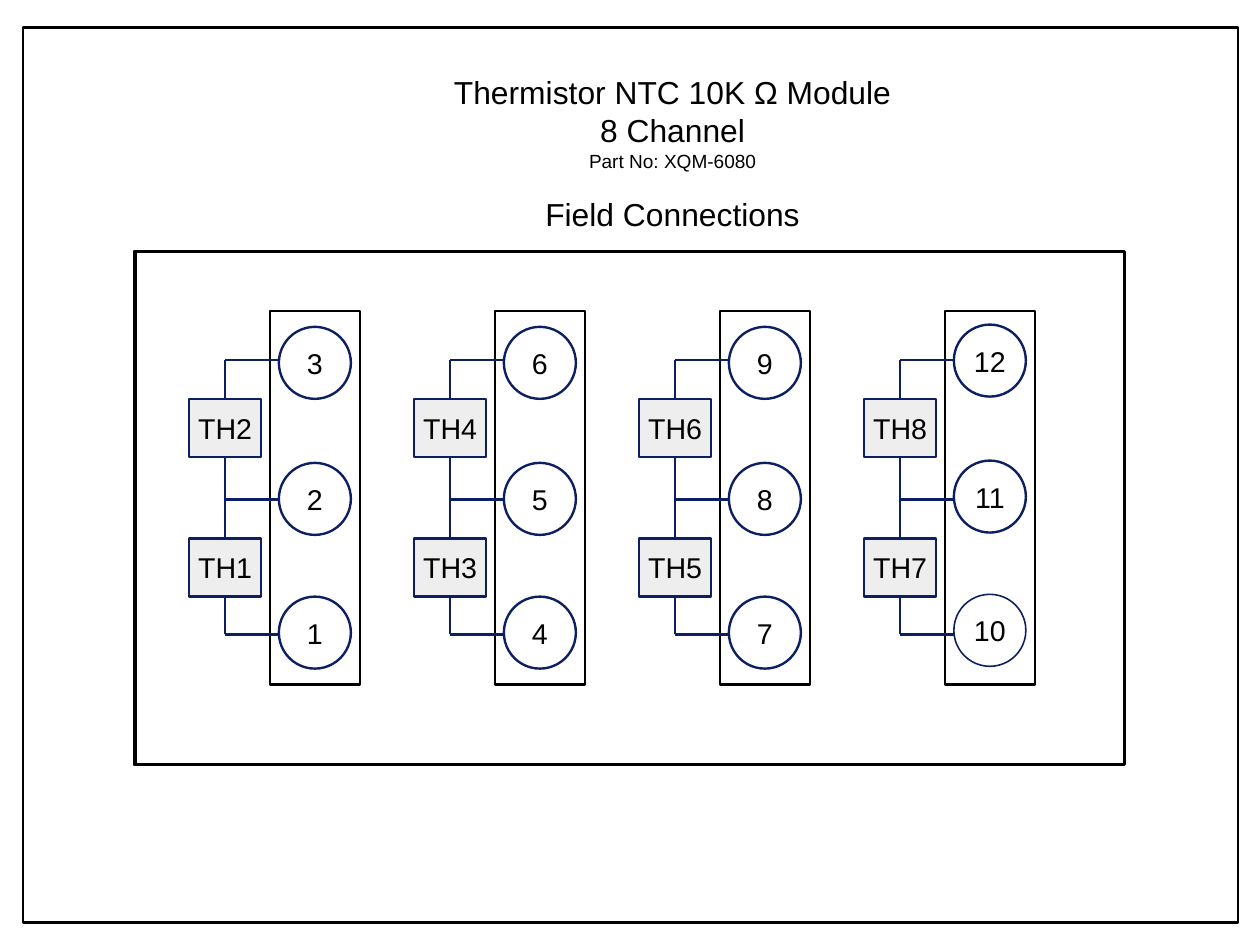
from pptx import Presentation, util as u
from pptx.dml.color import RGBColor
from pptx.enum import shapes as sh, text as tx
from pptx.oxml import ns
from lxml import etree

BLACK = RGBColor(0x00, 0x00, 0x00)
NAVY = RGBColor(0x0D, 0x1F, 0x63)
GREY = RGBColor(0xEE, 0xEE, 0xEE)
FONT = "Arial"

WIDE, HIGH = u.Cm(28), u.Cm(21)
TITLE = [  # text, size, space before
    ("Thermistor NTC 10K Ω Module\n8 Channel", 20, 0),
    ("Part No: XQM-6080", 12, 0),
    ("Field Connections", 20, 14),
]
BANKS = [  # pins and thermistors from top to bottom
    (("3", "2", "1"), ("TH2", "TH1")),
    (("6", "5", "4"), ("TH4", "TH3")),
    (("9", "8", "7"), ("TH6", "TH5")),
    (("12", "11", "10"), ("TH8", "TH7")),
]
PITCH = u.Cm(5).inches  # from one bank to the next
RAIL = 2.36             # left edge of the first terminal strip
PIN = 0.63              # pin diameter and thermistor width
PIN_TOPS = (2.86, 4.05, 5.22)
WIRES = (3.15, 4.37, 5.55)
BOX_TOPS = (3.49, 4.71)
BOX_HIGH = 0.51
RECT, OVAL = sh.MSO_SHAPE.RECTANGLE, sh.MSO_SHAPE.OVAL

deck = Presentation()
deck.slide_width, deck.slide_height = WIDE, HIGH
slide = deck.slides.add_slide(deck.slide_layouts[6])


def write(par, words, size):
    par.text = words
    par.alignment = tx.PP_ALIGN.CENTER
    par.font.name, par.font.size = FONT, u.Pt(size)
    par.font.color.rgb = BLACK


def add_part(kind, x, y, w, h, color, width=1.5, label=None, fill=None):
    part = slide.shapes.add_shape(kind, *map(u.Inches, (x, y, w, h)))
    part.shadow.inherit = False
    part.line.color.rgb, part.line.width = color, u.Pt(width)
    if fill is None:
        part.fill.background()
    else:
        part.fill.solid()
        part.fill.fore_color.rgb = fill
    if label:
        frame = part.text_frame
        frame.word_wrap = False
        frame.vertical_anchor = tx.MSO_ANCHOR.MIDDLE
        frame.margin_left = frame.margin_right = u.Inches(0.11)
        frame.margin_top = frame.margin_bottom = u.Inches(0.06)
        write(frame.paragraphs[0], label, 18)
    return part


def add_wire(x1, y1, x2, y2):
    wire = slide.shapes.add_connector(
        sh.MSO_CONNECTOR.STRAIGHT, *map(u.Inches, (x1, y1, x2, y2)))
    wire.line.color.rgb, wire.line.width = NAVY, u.Pt(1.5)
    etree.SubElement(wire._element.spPr, ns.qn("a:effectLst"))
    return wire


def add_bank(col, pins, boxes):
    """Draw one terminal strip with its pins, thermistors and wires."""
    rail = RAIL + col * PITCH
    left = rail + 0.08
    bus = rail - 0.39
    lift = 0.02 if col == len(BANKS) - 1 else 0
    add_part(RECT, rail, 2.72, 0.79, 3.27, BLACK)
    for pin, top, y in zip(pins, PIN_TOPS, WIRES):
        add_part(OVAL, left, top - lift, PIN, PIN, NAVY,
                 1 if pin == "10" else 1.5, pin)
        add_wire(left, y, bus, y)
    for name, top, above, below in zip(boxes, BOX_TOPS, WIRES, WIRES[1:]):
        box = add_part(RECT, bus - PIN / 2, top, PIN, BOX_HIGH, NAVY,
                       label=name, fill=GREY)
        add_wire(bus, above, bus, top).end_connect(box, 0)
        add_wire(bus, below, bus, top + BOX_HIGH).end_connect(box, 2)


add_part(RECT, 1.18, 2.2, 8.66, 4.49, BLACK, 2.3)
add_part(RECT, 0.2, 0.24, 10.63, 7.83, BLACK)

head = slide.shapes.add_textbox(
    *map(u.Inches, (3.66, 0.59, 4.45, 1.71))).text_frame
head.word_wrap = False
for i, (words, size, gap) in enumerate(TITLE):
    par = head.add_paragraph() if i else head.paragraphs[0]
    write(par, words, size)
    if gap:
        par.space_before = u.Pt(gap)

for col, (pins, boxes) in enumerate(BANKS):
    add_bank(col, pins, boxes)

deck.save("out.pptx")
